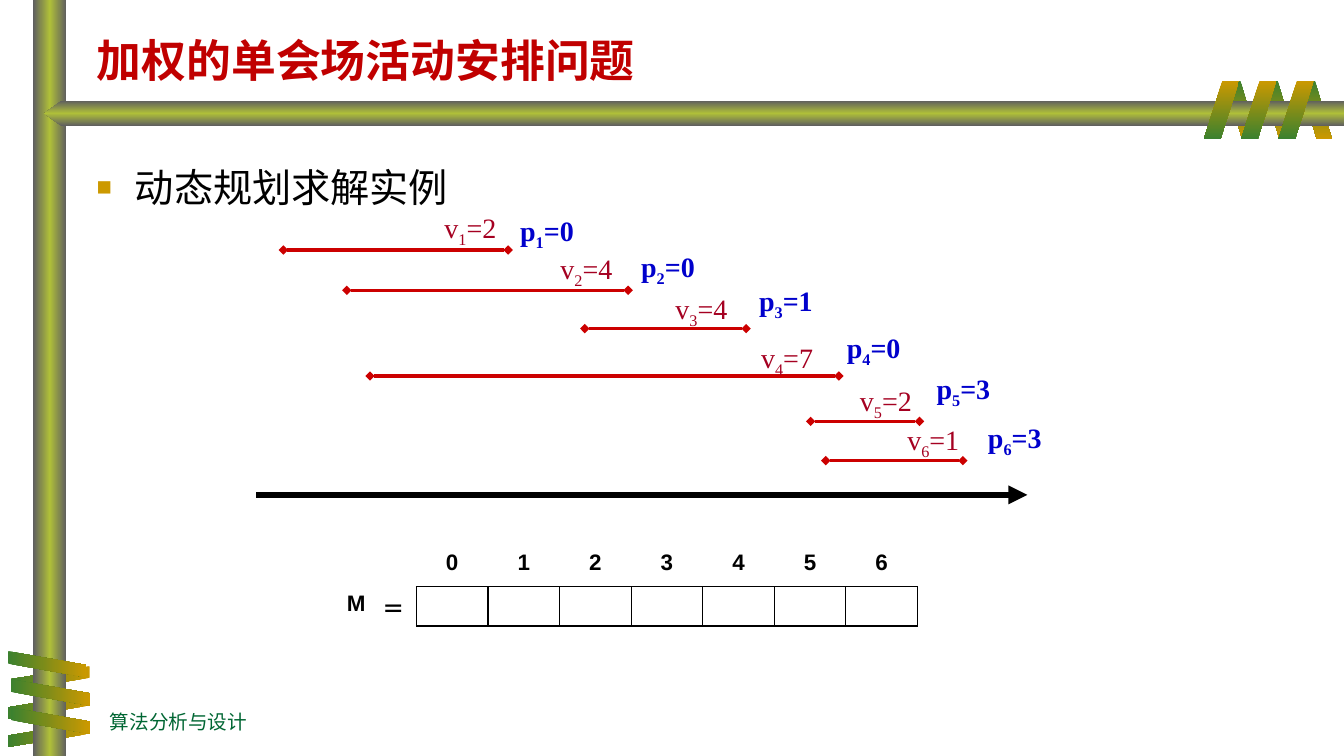
from copy import deepcopy
from dataclasses import dataclass

from lxml.etree import SubElement
from pptx import Presentation
from pptx.dml.color import RGBColor as RGB
from pptx.enum.shapes import MSO_CONNECTOR as Connector, MSO_SHAPE as Shape
from pptx.enum.text import MSO_ANCHOR as Anchor, PP_ALIGN as Align
from pptx.oxml.ns import qn
from pptx.util import Inches, Pt


@dataclass(frozen=True)
class Theme:
    sans: str = "Arial"
    serif: str = "Times New Roman"
    black: str = "000000"
    title: str = "C00000"
    footer: str = "006633"
    interval: str = "CC0000"
    weight: str = "A50021"
    previous: str = "0000CC"
    gold: str = "CC9900"
    green: str = "3B812F"
    steel: str = "5F5F5F"
    lime: str = "AFBF39"
    title_size: int = 32
    body_size: int = 28
    label_size: int = 20
    table_size: int = 16
    footer_size: int = 14


theme = Theme()


def write(paragraph, text, *, size, color, font=theme.serif, bold=False, baseline=0):
    run = paragraph.add_run()
    run.text = text
    run.font.name = font
    run.font.size = Pt(size)
    run.font.bold = bold
    run.font.color.rgb = RGB.from_string(color)
    if baseline:
        run.font._element.set("baseline", str(baseline * 1000))


def add_band(kind, left, top, width, height, colors, *, adjust=None, angle=0, rotation=0, flip=False):
    band = slide.shapes.add_shape(kind, Inches(left), Inches(top), Inches(width), Inches(height))
    band.shadow.inherit = False
    band.line.fill.background()
    band.rotation = rotation
    if adjust:
        band.adjustments[0] = adjust
    if flip:
        band._element.spPr.find(qn("a:xfrm")).set("flipH", "1")
    band.fill.gradient()
    band.fill.gradient_angle = angle
    gradient = band._element.spPr.find(qn("a:gradFill"))
    gradient.set("rotWithShape", "0")
    stop_list = gradient.find(qn("a:gsLst"))
    while len(stop_list) < len(colors):
        stop_list.append(deepcopy(stop_list[0]))
    for i, (stop, color) in enumerate(zip(band.fill.gradient_stops, colors)):
        stop.position = i / (len(colors) - 1)
        stop.color.rgb = RGB.from_string(color)


deck = Presentation()
deck.slide_width, deck.slide_height = Inches(13.33), Inches(7.5)
slide = deck.slides.add_slide(deck.slide_layouts[5])

tube = (theme.steel, theme.lime, theme.steel)
gold_green = (theme.gold, theme.green)
green_gold = (theme.green, theme.gold)
ribbon = Shape.PARALLELOGRAM
for i, left in enumerate((0.38, 0.35, 0.35)):
    add_band(ribbon, left, 6.34 + 0.28 * i, 0.24, 0.78, gold_green, adjust=0.53, rotation=90, flip=True)
add_band(Shape.RECTANGLE, 0.33, 0, 0.33, 7.5, tube)
for i, left in enumerate((0.34, 0.37, 0.37)):
    add_band(ribbon, left, 6.2 + 0.28 * i, 0.26, 0.78, green_gold, adjust=0.53, rotation=270)
for i in range(3):
    add_band(ribbon, 12.15 + 0.37 * i, 0.8, 0.32, 0.58, green_gold,
             adjust=0.53, angle=270, rotation=180, flip=True)
add_band(Shape.PENTAGON, 0.44, 1, 12.89, 0.25, tube, adjust=0.68, angle=270, flip=True)
for i in range(3):
    add_band(ribbon, 11.94 + 0.37 * i, 0.8, 0.35, 0.58, gold_green, adjust=0.53, angle=270)

title = slide.shapes.title
title.left, title.top, title.width, title.height = Inches(0.86), Inches(0.22), Inches(12.14), Inches(0.69)
title.text_frame.vertical_anchor = Anchor.MIDDLE
heading = title.text_frame.paragraphs[0]
heading.alignment = Align.LEFT
heading.line_spacing = 1.1
write(heading, "加权的单会场活动安排问题", size=theme.title_size, color=theme.title, font=theme.sans, bold=True)

body = slide.shapes.add_textbox(Inches(0.86), Inches(1.34), Inches(12.16), Inches(0.9)).text_frame
body.word_wrap = True
topic = body.paragraphs[0]
topic.line_spacing = 1.5
bullet = topic._p.get_or_add_pPr()
bullet.set("marL", str(Inches(0.38)))
bullet.set("indent", str(Inches(-0.38)))
SubElement(SubElement(bullet, qn("a:buClr")), qn("a:srgbClr"), val=theme.gold)
SubElement(bullet, qn("a:buSzPct"), val="65000")
SubElement(bullet, qn("a:buFont"), typeface=theme.sans)
SubElement(bullet, qn("a:buChar"), char="■")
write(topic, "动态规划求解实例", size=theme.body_size, color=theme.black, font=theme.sans)

footer = slide.shapes.add_textbox(Inches(0.99), Inches(6.98), Inches(4.22), Inches(0.35)).text_frame
footer.word_wrap = True
footer.vertical_anchor = Anchor.BOTTOM
write(footer.paragraphs[0], "算法分析与设计", size=theme.footer_size, color=theme.footer)

time_axis = (2.54, 10.19, 4.91, theme.black, 4.5, {"tailEnd": "triangle"})
spans = [(2.81, 5.04, 2.48), (3.44, 6.23, 2.88), (5.8, 7.4, 3.26),
         (3.67, 8.32, 3.73), (8.04, 9.12, 4.18), (8.19, 9.55, 4.57)]
diamonds = {"headEnd": "diamond", "tailEnd": "diamond"}
activities = [(*span, theme.interval, 2.25, diamonds) for span in spans]
for start, finish, y, color, weight, ends in [time_axis, *activities]:
    line = slide.shapes.add_connector(Connector.STRAIGHT, Inches(start), Inches(y), Inches(finish), Inches(y))
    line.line.color.rgb = RGB.from_string(color)
    line.line.width = Pt(weight)
    for end, kind in ends.items():
        SubElement(line.line._get_or_add_ln(), qn(f"a:{end}"), type=kind)
    SubElement(line._element.spPr, qn("a:effectLst"))

weights = [(2, 4.31, 2.04), (4, 5.46, 2.45), (4, 6.6, 2.84),
           (7, 7.45, 3.33), (2, 8.43, 3.76), (1, 8.9, 4.14)]
previous = [(0, 5.06, 2.07), (0, 6.26, 2.43), (1, 7.43, 2.76),
            (0, 8.3, 3.23), (3, 9.19, 3.64), (3, 9.7, 4.12)]
for symbol, color, bold, labels in (("v", theme.weight, False, weights), ("p", theme.previous, True, previous)):
    for number, (value, left, top) in enumerate(labels, 1):
        label = slide.shapes.add_textbox(Inches(left), Inches(top), Inches(0.75), Inches(0.44)).text_frame
        label.word_wrap = False
        for text, baseline in ((symbol, 0), (str(number), -25), (f"={value}", 0)):
            write(label.paragraphs[0], text, size=theme.label_size, color=color, bold=bold, baseline=baseline)

memo = slide.shapes.add_table(2, 9, Inches(3.34), Inches(5.41), Inches(5.76), Inches(0.8)).table
memo.first_row = memo.horz_banding = False
for column, width in zip(memo.columns, [0.33, 0.46] + [0.71] * 7):
    column.width = Inches(width)
for row, height in zip(memo.rows, (0.41, 0.39)):
    row.height = Inches(height)
memo_text = [["", "", *"0123456"], ["M", "＝"] + [""] * 7]
for r, row in enumerate(memo_text):
    for c, text in enumerate(row):
        cell = memo.cell(r, c)
        if text:
            cell.text_frame.paragraphs[0].alignment = Align.CENTER
            write(cell.text_frame.paragraphs[0], text, size=theme.table_size,
                  color=theme.black, font=theme.sans, bold=True)
        else:
            cell.margin_top = cell.margin_bottom = 0
        if c > 1:
            edges = "LRTB" if r else "B"
        else:
            edges = "R" if r and c else ""
        borders = cell._tc.get_or_add_tcPr()
        for edge in "LRTB":
            border = SubElement(borders, qn(f"a:ln{edge}"), w=str(Pt(1)))
            if edge in edges:
                SubElement(SubElement(border, qn("a:solidFill")), qn("a:srgbClr"), val=theme.black)
            else:
                SubElement(border, qn("a:noFill"))
        cell.fill.background()

deck.save("out.pptx")
